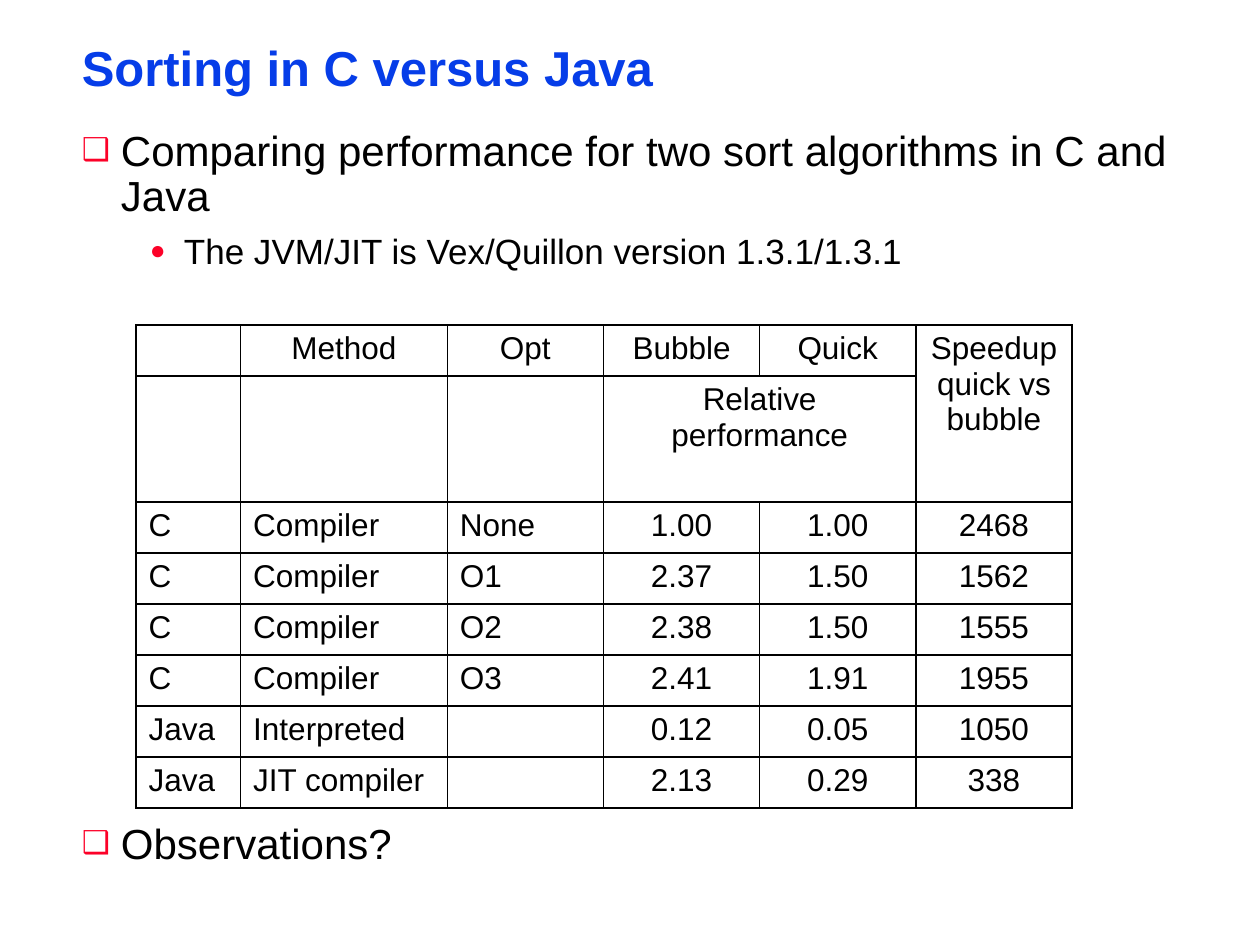
from lxml.etree import SubElement
from pptx import Presentation
from pptx.dml.color import RGBColor
from pptx.enum.text import MSO_ANCHOR, MSO_AUTO_SIZE, PP_ALIGN
from pptx.oxml.ns import qn
from pptx.util import Inches, Pt

BLUE = RGBColor(0x06, 0x3D, 0xE8)
RED = RGBColor(0xFC, 0x01, 0x28)
BLACK = RGBColor(0, 0, 0)
FONT = "Arial"

BULLET_LEVELS = [
    {"mark": "❑", "size": 24, "margin": 0.31, "hang": 0.31, "spacing": 0.9, "before": 16},
    {"mark": "●", "size": 20, "margin": 0.81, "hang": 0.27, "spacing": 0.85, "before": 9},
]
COLUMN_WIDTHS = [0.83, 1.64, 1.24, 1.24, 1.24, 1.24]
ROW_HEIGHT = 0.405
FIRST_NUMBER_COLUMN = 3
HEADER_ROWS = 2
RESULTS = [
    ["", "Method", "Opt", "Bubble", "Quick", "Speedup quick vs bubble"],
    ["", "", "", "Relative performance", "", ""],
    ["C", "Compiler", "None", "1.00", "1.00", "2468"],
    ["C", "Compiler", "O1", "2.37", "1.50", "1562"],
    ["C", "Compiler", "O2", "2.38", "1.50", "1555"],
    ["C", "Compiler", "O3", "2.41", "1.91", "1955"],
    ["Java", "Interpreted", "", "0.12", "0.05", "1050"],
    ["Java", "JIT compiler", "", "2.13", "0.29", "338"],
]


def add_run(paragraph, text, size, color=BLACK, bold=False):
    """Add one formatted run to a paragraph."""
    run = paragraph.add_run()
    run.text = text
    run.font.name = FONT
    run.font.size = Pt(size)
    run.font.bold = bold
    run.font.color.rgb = color


def prepare_frame(frame):
    """Give a text frame the slide's insets, wrapping and growth."""
    frame.margin_left = frame.margin_right = Inches(0.07)
    frame.margin_top = frame.margin_bottom = Inches(0.03)
    frame.word_wrap = True
    frame.auto_size = MSO_AUTO_SIZE.SHAPE_TO_FIT_TEXT
    frame.vertical_anchor = MSO_ANCHOR.TOP


def add_bullet(paragraph, level):
    """Give a paragraph the hanging red bullet of its level."""
    properties = paragraph._p.get_or_add_pPr()
    properties.set("marL", str(Inches(level["margin"])))
    properties.set("indent", str(-Inches(level["hang"])))
    color = SubElement(properties, qn("a:buClr"))
    SubElement(color, qn("a:srgbClr"), val=str(RED))
    SubElement(properties, qn("a:buSzPct"), val="75000")
    SubElement(properties, qn("a:buFont"), typeface=FONT)
    SubElement(properties, qn("a:buChar"), char=level["mark"])


def place_title(slide, text, left, top, width, height):
    """Move and format the title placeholder."""
    title = slide.shapes.title
    title.left, title.top, title.width, title.height = map(Inches, (left, top, width, height))
    prepare_frame(title.text_frame)
    heading = title.text_frame.paragraphs[0]
    heading.alignment = PP_ALIGN.LEFT
    heading.line_spacing = 0.87
    add_run(heading, text, 28, BLUE, bold=True)


def add_bullets(slide, items, left, top, width, height):
    """Add a text box of bullets given as (level, text) pairs."""
    box = slide.shapes.add_textbox(*map(Inches, (left, top, width, height)))
    frame = box.text_frame
    prepare_frame(frame)
    for index, (depth, text) in enumerate(items):
        level = BULLET_LEVELS[depth]
        paragraph = frame.add_paragraph() if index else frame.paragraphs[0]
        paragraph.level = depth
        add_bullet(paragraph, level)
        paragraph.line_spacing = level["spacing"]
        if index:
            paragraph.space_before = Pt(level["before"])
        add_run(paragraph, text, level["size"])


def format_cell(cell):
    """Clear a cell's fill and draw its four black borders."""
    properties = cell._tc.get_or_add_tcPr()
    for side in ("a:lnL", "a:lnR", "a:lnT", "a:lnB"):
        border = SubElement(properties, qn(side), w=str(Pt(1)))
        fill = SubElement(border, qn("a:solidFill"))
        SubElement(fill, qn("a:srgbClr"), val=str(BLACK))
    cell.fill.background()


def add_results(slide, left, top):
    """Add the table of sort performance."""
    frame = slide.shapes.add_table(
        len(RESULTS), len(COLUMN_WIDTHS), Inches(left), Inches(top),
        Inches(sum(COLUMN_WIDTHS)), Inches(ROW_HEIGHT * len(RESULTS)))
    table = frame.table
    table.first_row = table.horz_banding = False
    for column, width in zip(table.columns, COLUMN_WIDTHS):
        column.width = Inches(width)
    for row_index, values in enumerate(RESULTS):
        table.rows[row_index].height = Inches(ROW_HEIGHT)
        for column_index, value in enumerate(values):
            cell = table.cell(row_index, column_index)
            format_cell(cell)
            if value:
                paragraph = cell.text_frame.paragraphs[0]
                centered = row_index < HEADER_ROWS or column_index >= FIRST_NUMBER_COLUMN
                paragraph.alignment = PP_ALIGN.CENTER if centered else PP_ALIGN.LEFT
                add_run(paragraph, value, 18)
    table.cell(0, 5).merge(table.cell(1, 5))
    table.cell(1, 3).merge(table.cell(1, 4))


def main():
    """Build and save the slide."""
    presentation = Presentation()
    presentation.slide_width, presentation.slide_height = Inches(10), Inches(7.5)
    slide = presentation.slides.add_slide(presentation.slide_layouts[5])
    place_title(slide, "Sorting in C versus Java", 0.58, 0.33, 8.92, 0.46)
    add_bullets(slide, [
        (0, "Comparing performance for two sort algorithms in C and Java"),
        (1, "The JVM/JIT is Vex/Quillon version 1.3.1/1.3.1"),
    ], 0.58, 1, 8.92, 1.2)
    add_results(slide, 1.08, 2.58)
    add_bullets(slide, [(0, "Observations?")], 0.58, 6.5, 8.92, 0.42)
    presentation.save("out.pptx")


if __name__ == "__main__":
    main()
